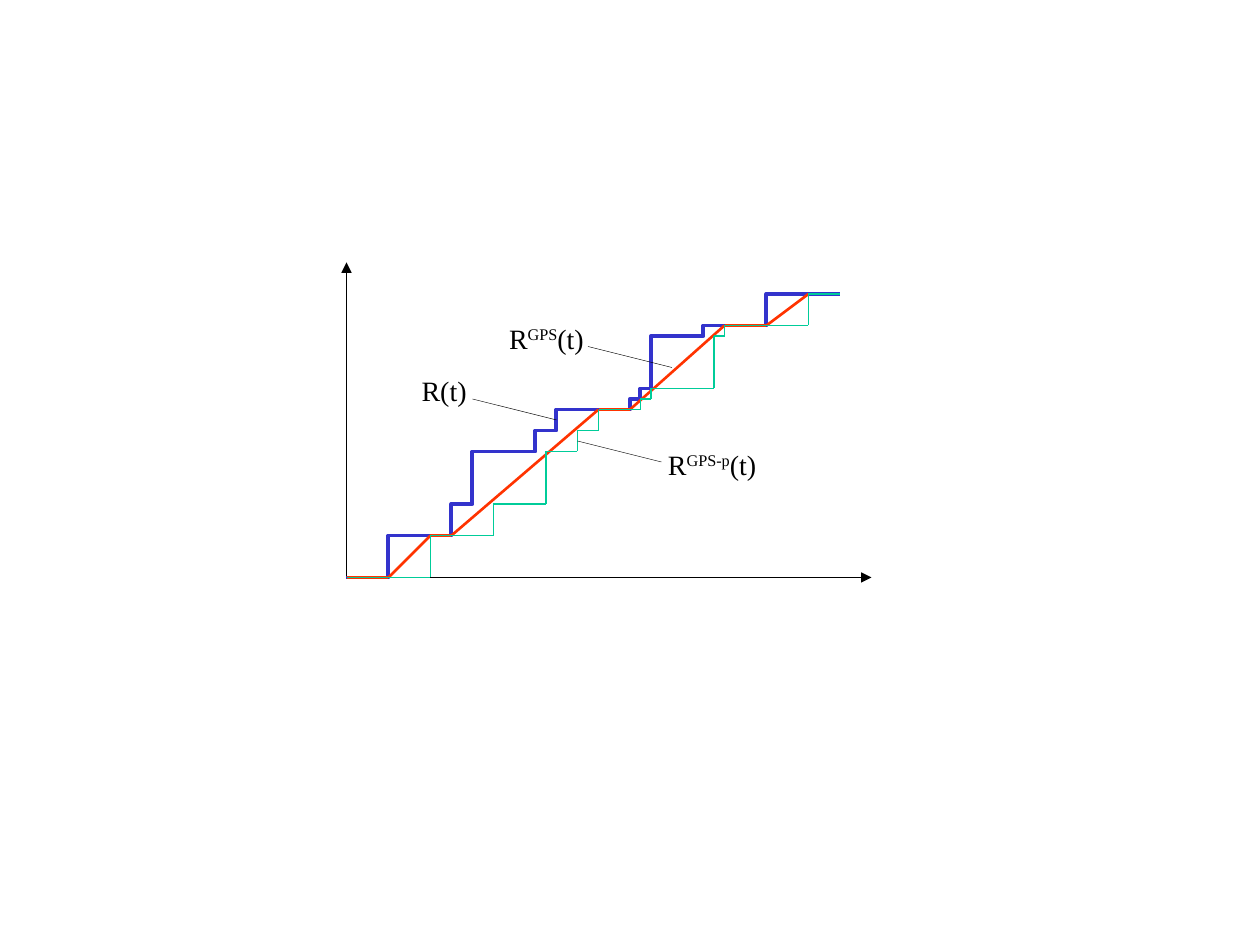
from itertools import pairwise

from lxml.etree import SubElement
from pptx import Presentation
from pptx.dml.color import RGBColor
from pptx.enum.shapes import MSO_CONNECTOR as Connector
from pptx.enum.text import MSO_ANCHOR as Anchor, MSO_AUTO_SIZE as AutoSize, PP_ALIGN as Align
from pptx.oxml.ns import qn
from pptx.util import Pt

# The diagram sits on a 6 pt grid, counted right and up from the origin
GRID, ORIGIN_X, ORIGIN_Y = 6, 198, 330
color = RGBColor.from_string


def place(point):
    return Pt(ORIGIN_X + GRID * point[0]), Pt(ORIGIN_Y - GRID * point[1])


def add_line(start, end, hue, width, arrow=False):
    line = diagram.add_connector(Connector.STRAIGHT, *place(start), *place(end))
    line.line.color.rgb = color(hue)
    line.line.width = Pt(width)
    properties = line._element.spPr
    if arrow:
        SubElement(properties.find(qn("a:ln")), qn("a:tailEnd"), type="triangle")
    SubElement(properties, qn("a:effectLst"))


deck = Presentation()
deck.slide_width, deck.slide_height = Pt(720), Pt(540)
page = deck.slides.add_slide(deck.slide_layouts[6])
diagram = page.shapes.add_group_shape().shapes

# Axes
for tip in [(50, 0), (0, 30)]:
    add_line((0, 0), tip, "000000", 0.25, arrow=True)

# Arrivals R(t): each step is the time of a jump and the level reached
arrivals = [(4, 4), (10, 7), (12, 12), (18, 14), (20, 16), (27, 17),
            (28, 18), (29, 23), (34, 24), (40, 27)]
corners, level = [], 0
for time, next_level in arrivals:
    corners += [(time, level), (time, next_level)]
    level = next_level
corners.append((47, level))
builder = diagram.build_freeform(*place((0, 0)))
builder.add_line_segments([place(corner) for corner in corners], close=False)
staircase = builder.convert_to_shape()
staircase.shadow.inherit = False
staircase.fill.background()
staircase.line.color.rgb = color("3333CC")
staircase.line.width = Pt(2.25)

# Fluid service and packet service
fluid = [(0, 0), (4, 0), (8, 4), (10, 4), (24, 16), (27, 16),
         (36, 24), (40, 24), (44, 27), (47, 27)]
packets = [(0, 0), (8, 0), (8, 4), (14, 4), (14, 7), (19, 7), (19, 12),
           (22, 12), (22, 14), (24, 14), (24, 16), (28, 16), (28, 17),
           (29, 17), (29, 18), (35, 18), (35, 23), (36, 23), (36, 24),
           (40, 24), (44, 24), (44, 27), (47, 27)]
for curve, hue, width in [(fluid, "FF3300", 1.5), (packets, "00CC99", 0.75)]:
    for start, end in pairwise(curve):
        add_line(start, end, hue, width)

# Labels: superscript, left, top, width, leader line
labels = [
    ("", 232.8, 210, 42, (12, 17), (20, 15)),
    ("GPS-p", 374.4, 252, 65, (22, 13), (30, 11)),
    ("GPS", 283.7, 180, 57, (23, 22), (31, 20)),
]
frame_format = {"word_wrap": False, "auto_size": AutoSize.SHAPE_TO_FIT_TEXT,
                "vertical_anchor": Anchor.MIDDLE}
font_format = {"name": "Times New Roman", "size": Pt(16)}
for superscript, left, top, width, start, end in labels:
    box = diagram.add_textbox(Pt(left), Pt(top), Pt(width), Pt(26.6))
    for name, value in frame_format.items():
        setattr(box.text_frame, name, value)
    para = box.text_frame.paragraphs[0]
    para.alignment = Align.CENTER
    pieces = ["R", superscript, "(t)"] if superscript else ["R(t)"]
    for piece in pieces:
        span = para.add_run()
        span.text = piece
        for name, value in font_format.items():
            setattr(span.font, name, value)
        span.font.color.rgb = color("000000")
        if piece == superscript:
            span._r.get_or_add_rPr().set("baseline", "30000")

# Leader lines from the labels to their curves
for *_, start, end in labels:
    add_line(start, end, "000000", 0.25)

deck.save("out.pptx")
